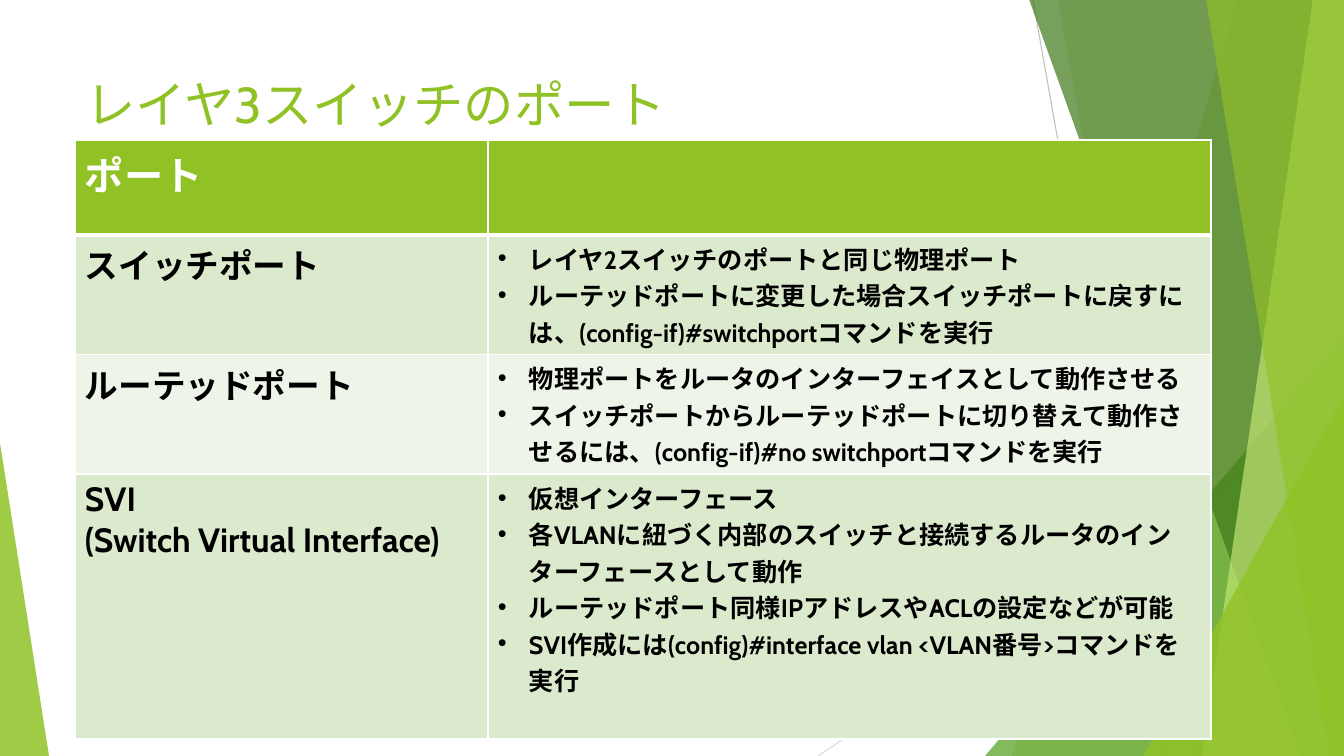
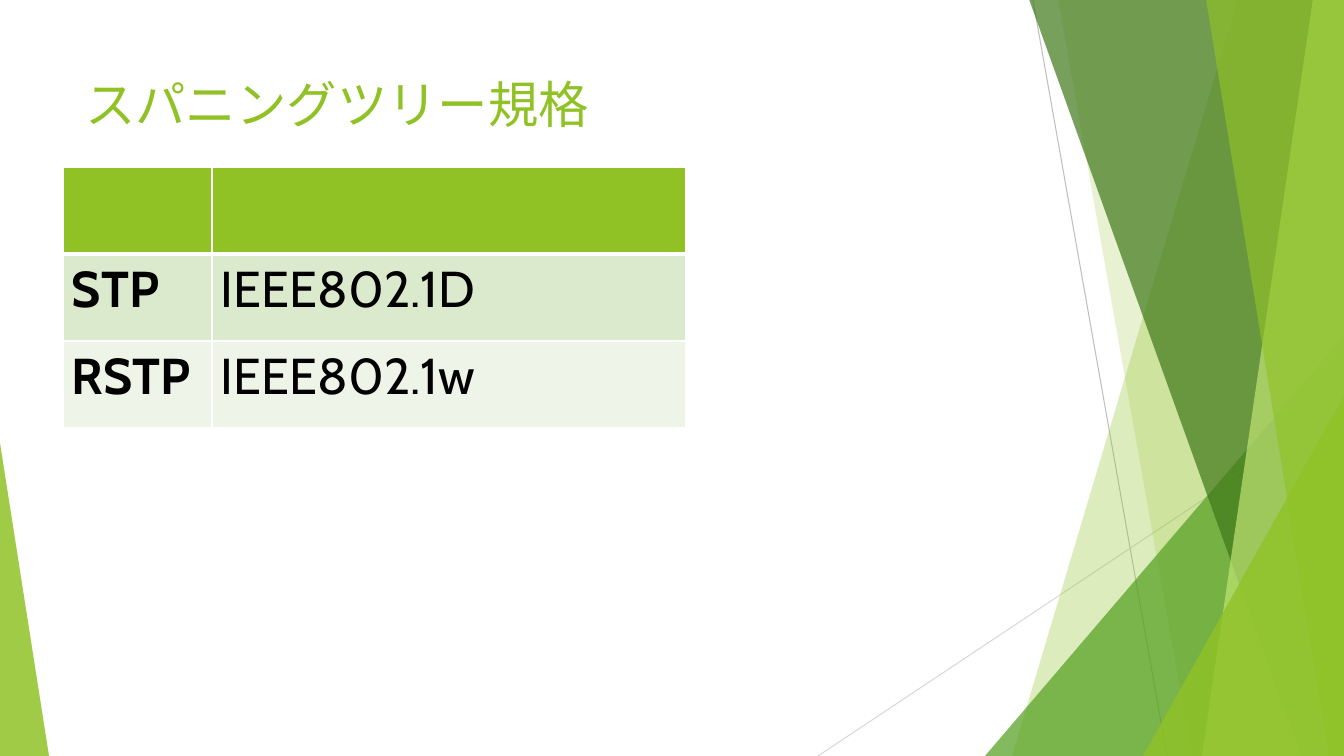
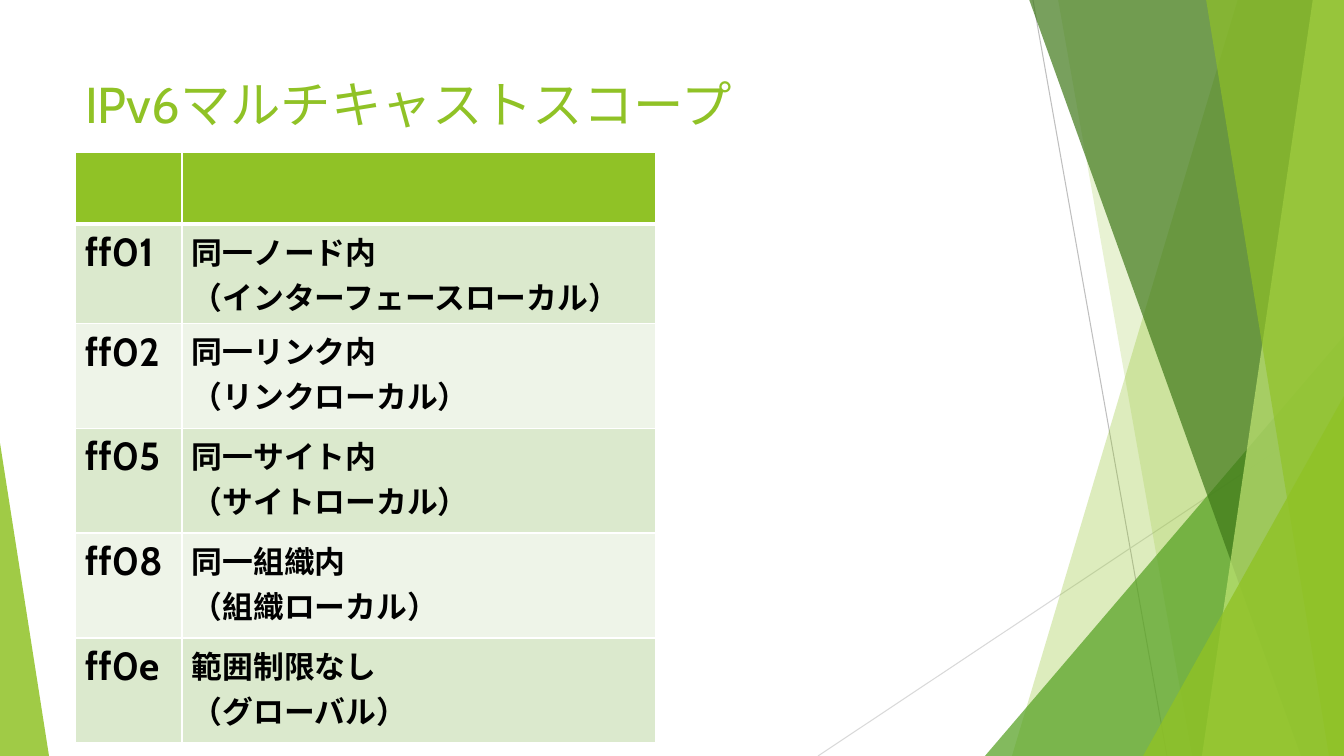
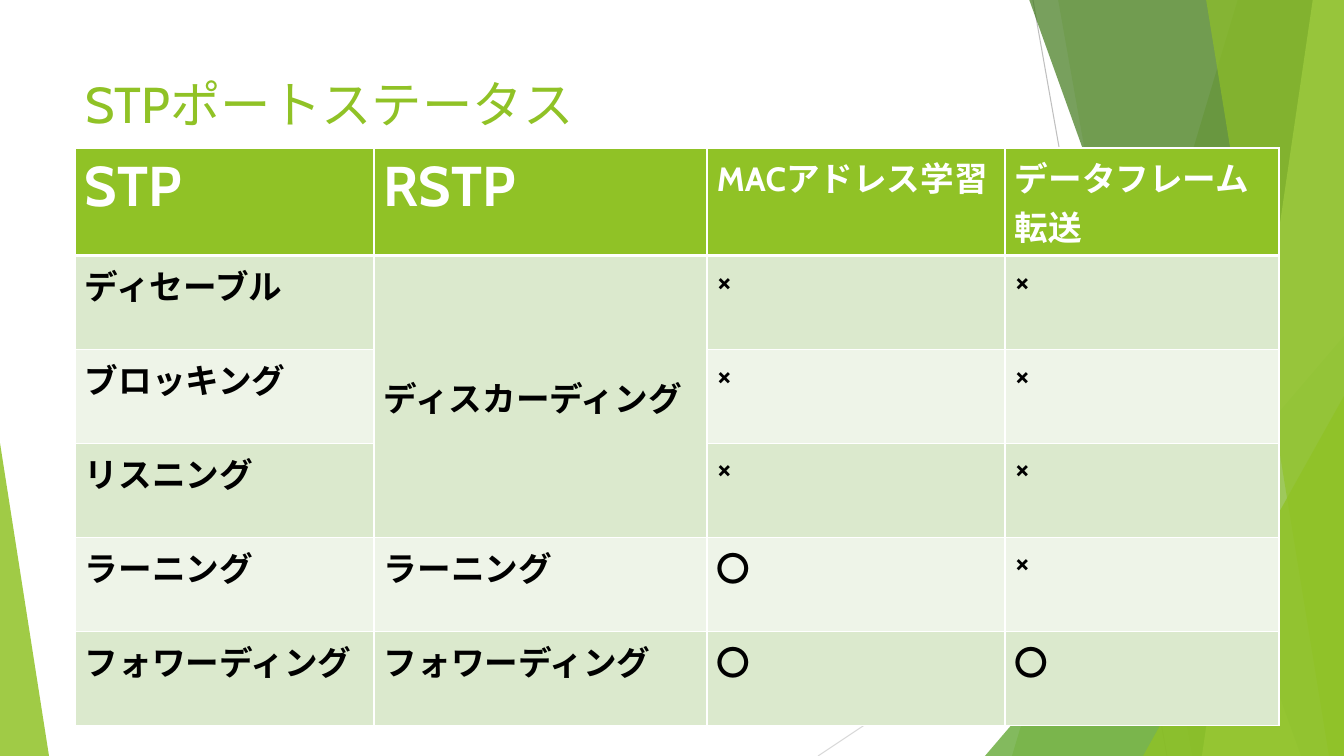
"""Build four network study slides with shared green bands, titles and tables."""
from lxml.etree import SubElement
from pptx import Presentation
from pptx.dml.color import RGBColor
from pptx.enum.shapes import MSO_CONNECTOR, MSO_SHAPE
from pptx.enum.text import MSO_ANCHOR, MSO_AUTO_SIZE, PP_ALIGN
from pptx.oxml.ns import qn
from pptx.util import Pt

WIDE, HIGH = 1344, 756
SCALE = 12192000 / WIDE
FONT = "Cabin"
GREEN, WHITE, BLACK = "90C226", "FFFFFF", "000000"
ROWS = ("DBE9CD", "EEF4E8")

LINES = [(1033, 0, 1167, HIGH, "BFBFBF"), (WIDE, 406, 818, HIGH, "D9D9D9")]
BANDS = [
    ("band", (1238, 1012), GREEN, 30),
    ("band", (1058, 1192), GREEN, 20),
    ("wedge", (985, 336, 359, 420, 1), "54A021", 72),
    ("band", (1029, 1301), "3F7819", 70),
    ("band", (1313, 1202), "C0E474", 70),
    ("band", (1206, 1329), GREEN, 65),
    ("wedge", (1143, 396, 201, 360, 1), GREEN, 80),
    ("wedge", (0, 443, 49, 313, 0), GREEN, 85),
]

SLIDES = [
    dict(
        title="レイヤ3スイッチのポート", at=(75, 140), cols=[413, 723],
        rows=[95, 119, 119, 265], head=(28, 28), body=(24, 18),
        bold=(True, True), dots=1,
        cells=[
            ("ポート", ""),
            ("スイッチポート",
             "レイヤ2スイッチのポートと同じ物理ポート\n"
             "ルーテッドポートに変更した場合スイッチポートに戻すには、"
             "(config-if)#switchportコマンドを実行"),
            ("ルーテッドポート",
             "物理ポートをルータのインターフェイスとして動作させる\n"
             "スイッチポートからルーテッドポートに切り替えて動作させるには、"
             "(config-if)#no switchportコマンドを実行"),
            ("SVI\n(Switch Virtual Interface)",
             "仮想インターフェース\n"
             "各VLANに紐づく内部のスイッチと接続するルータの"
             "インターフェースとして動作\n"
             "ルーテッドポート同様IPアドレスやACLの設定などが可能\n"
             "SVI作成には(config)#interface vlan <VLAN番号>コマンドを実行"),
        ]),
    dict(
        title="スパニングツリー規格", at=(63, 167), cols=[149, 474],
        rows=[87] * 3, head=(18, 18), body=(36, 36),
        bold=(True, False), inset=9,
        cells=[("", ""), ("STP", "IEEE802.1D"), ("RSTP", "IEEE802.1w")]),
    dict(
        title="IPv6マルチキャストスコープ", at=(75, 152), cols=[107, 474],
        rows=[72, 99] + [105] * 4, head=(18, 18), body=(28, 22),
        bold=(True, True),
        cells=[
            ("", ""),
            ("ff01", "同一ノード内\n（インターフェースローカル）"),
            ("ff02", "同一リンク内\n（リンクローカル）"),
            ("ff05", "同一サイト内\n（サイトローカル）"),
            ("ff08", "同一組織内\n（組織ローカル）"),
            ("ff0e", "範囲制限なし\n（グローバル）"),
        ]),
    dict(
        title="STPポートステータス", at=(75, 148), cols=[299, 333, 298, 274],
        rows=[107] + [94] * 5, head=(40, 40, 24, 24), body=(24,) * 4,
        bold=(True,) * 4, span=(1, 1, 3, 1),
        cells=[
            ("STP", "RSTP", "MACアドレス学習", "データフレーム転送"),
            ("ディセーブル", "ディスカーディング", "×", "×"),
            ("ブロッキング", "", "×", "×"),
            ("リスニング", "", "×", "×"),
            ("ラーニング", "ラーニング", "〇", "×"),
            ("フォワーディング", "フォワーディング", "〇", "〇"),
        ]),
]


def px(*nums):
    """Turn px lengths into a list of EMU."""
    return [round(n * SCALE) for n in nums]


def rgb(code):
    """Turn a hex string into a colour."""
    return RGBColor.from_string(code)


def write(para, text, size, color, bold=False):
    """Add one formatted run."""
    run = para.add_run()
    run.text = text
    font = run.font
    font.name, font.size, font.bold = FONT, Pt(size), bold
    font.color.rgb = rgb(color)


def draw(shapes):
    """Draw the lines and bands and return them from back to front."""
    parts = []
    for x1, y1, x2, y2, color in LINES:
        line = shapes.add_connector(MSO_CONNECTOR.STRAIGHT, *px(x1, y1, x2, y2))
        line.line.color.rgb = rgb(color)
        line.line.width = Pt(0.75)
        SubElement(line.element.spPr, qn("a:effectLst"))
        parts.append(line)
    for kind, place, color, alpha in BANDS:
        if kind == "band":
            top, base = place
            pen = shapes.build_freeform(top, -1, scale=SCALE)
            pen.add_line_segments([(WIDE, -1), (WIDE, HIGH), (base, HIGH)])
            part = pen.convert_to_shape()
        else:
            part = shapes.add_shape(MSO_SHAPE.ISOSCELES_TRIANGLE, *px(*place[:4]))
            part.adjustments[0] = place[4]
        part.shadow.inherit = False
        part.line.fill.background()
        part.fill.solid()
        part.fill.fore_color.rgb = rgb(color)
        tint = part.element.spPr.find(qn("a:solidFill")).find(qn("a:srgbClr"))
        SubElement(tint, qn("a:alpha"), val=str(alpha * 1000))
        parts.append(part)
    return parts


def share(slide, layout):
    """Put the bands on the layout, so every slide shows them."""
    for holder in list(layout.placeholders):
        if holder.placeholder_format.idx >= 10:
            layout.shapes.element.remove(holder.element)
    for part in draw(slide.shapes):
        layout.shapes.element.append(part.element)


def head(slide, text):
    """Place and format the title."""
    box = slide.shapes.title
    box.left, box.top, box.width, box.height = px(75, 68, 948, 145)
    frame = box.text_frame
    frame.auto_size = MSO_AUTO_SIZE.NONE
    frame.vertical_anchor = MSO_ANCHOR.TOP
    para = frame.paragraphs[0]
    para.alignment = PP_ALIGN.LEFT
    write(para, text, 36, GREEN)


def edge(cell, row):
    """Draw white cell borders, thick below the header."""
    props = cell._tc.get_or_add_tcPr()
    thick = {"T": row == 1, "B": row == 0}
    for side in "LRTB":
        width = Pt(3 if thick.get(side) else 1)
        line = SubElement(props, qn("a:ln" + side), w=str(width))
        fill = SubElement(line, qn("a:solidFill"))
        SubElement(fill, qn("a:srgbClr"), val=WHITE)


def dot(para):
    """Give a paragraph a hanging bullet."""
    props = para._p.get_or_add_pPr()
    gap, = px(31)
    props.set("marL", str(gap))
    props.set("indent", str(-gap))
    SubElement(props, qn("a:buFont"), typeface="Arial")
    SubElement(props, qn("a:buChar"), char="•")


def grid(slide, data):
    """Add the table of one slide."""
    cols, rows = data["cols"], data["rows"]
    frame = slide.shapes.add_table(
        len(rows), len(cols), *px(*data["at"], sum(cols), sum(rows)))
    table = frame.table
    table.horz_banding = False
    for col, width in zip(table.columns, px(*cols)):
        col.width = width
    for row, height in zip(table.rows, px(*rows)):
        row.height = height
    side, = px(data.get("inset", 10))
    for r, texts in enumerate(data["cells"]):
        sizes = data["body"] if r else data["head"]
        for c, text in enumerate(texts):
            cell = table.cell(r, c)
            cell.margin_left = cell.margin_right = side
            edge(cell, r)
            cell.fill.solid()
            cell.fill.fore_color.rgb = rgb(ROWS[(r - 1) % 2] if r else GREEN)
            body = cell.text_frame
            for n, item in enumerate(text.split("\n") if text else []):
                para = body.add_paragraph() if n else body.paragraphs[0]
                if r and c == data.get("dots"):
                    dot(para)
                write(para, item, sizes[c], BLACK if r else WHITE,
                      data["bold"][c])
    if "span" in data:
        r, c, down, over = data["span"]
        cell = table.cell(r, c)
        cell.merge(table.cell(r + down - 1, c + over - 1))
        cell.vertical_anchor = MSO_ANCHOR.MIDDLE


def main():
    """Build and save the deck."""
    deck = Presentation()
    deck.slide_width, deck.slide_height = px(WIDE, HIGH)
    layout = deck.slide_layouts.get_by_name("Title Only")
    for n, data in enumerate(SLIDES):
        slide = deck.slides.add_slide(layout)
        if n == 0:
            share(slide, layout)
        head(slide, data["title"])
        grid(slide, data)
    deck.save("out.pptx")


if __name__ == "__main__":
    main()
